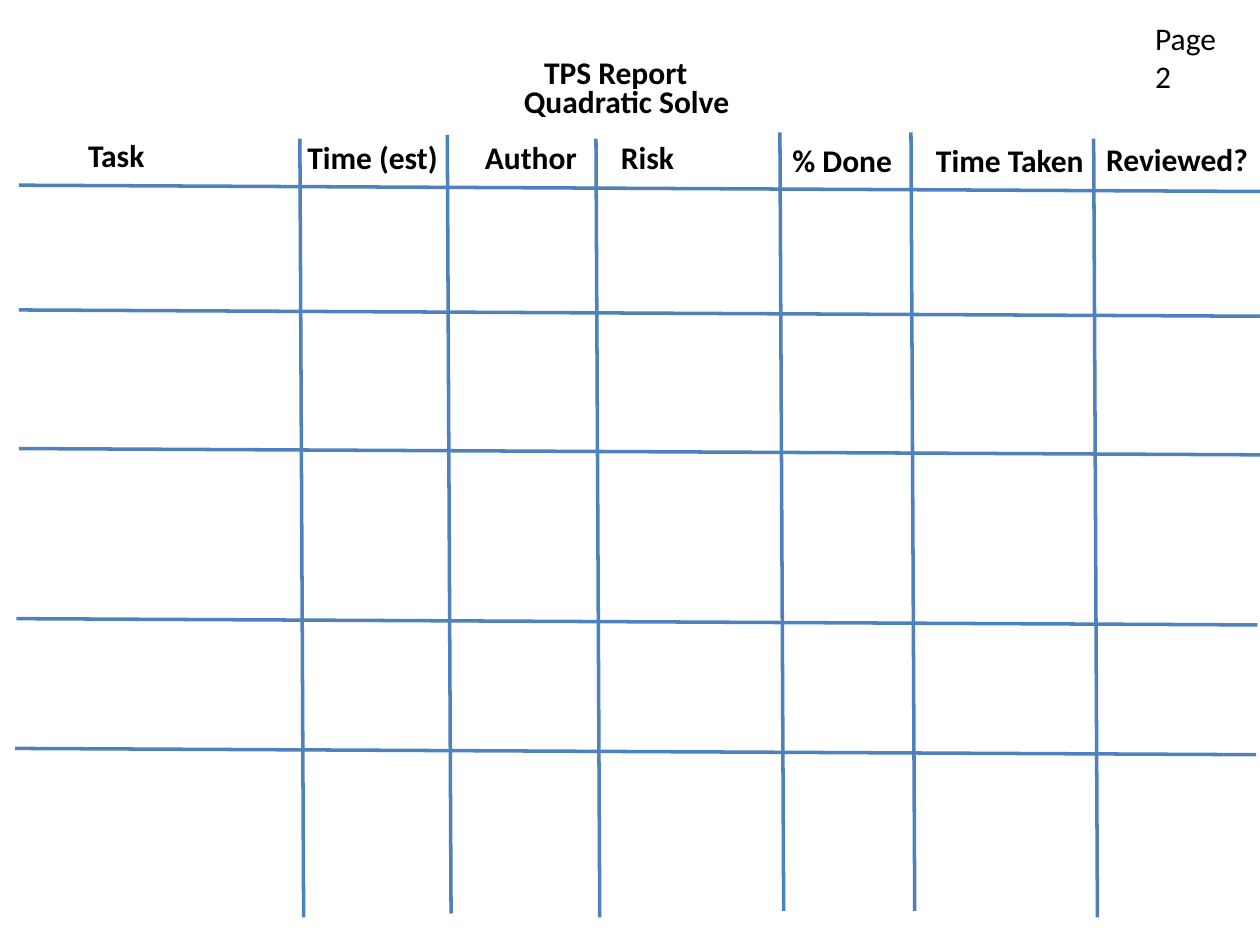
from collections import namedtuple

from lxml.etree import SubElement
from pptx import Presentation
from pptx.dml.color import RGBColor
from pptx.enum.shapes import MSO_CONNECTOR
from pptx.oxml.ns import qn
from pptx.util import Inches, Pt

BLACK = RGBColor(0x00, 0x00, 0x00)
BLUE = RGBColor(0x4F, 0x81, 0xBD)
COLUMNS, ROWS = 100, 75
Box = namedtuple("Box", "left top width height")

HEADINGS = [
    ("Task", 4.8, 0),
    ("Time (est)", 22.2, 0.2),
    ("Author", 36.3, 0.2),
    ("Risk", 47.1, 0.2),
    ("% Done", 60.7, 0.4),
    ("Time Taken", 72.1, 0.4),
    ("Reviewed?", 85.6, 0.3),
]
COLUMN_RULES = [(22.6, 0.7), (34.3, 0.4), (46.1, 0.7), (60.7, 0.2), (71.1, 0.2), (85.6, 0.7)]
ROW_RULES = [(0.3, 4.4), (0.3, 14.3), (0.3, 25.3), (0.1, 38.8), (0, 49.1)]
RULE_LENGTH = Box(0, 0, 98.5, 61.8)
COLUMN_SLANT, ROW_SLANT = 0.3, 0.5


def across(presentation, columns):
    """Turn grid columns into a slide length."""
    return round(presentation.slide_width * columns / COLUMNS)


def down(presentation, rows):
    """Turn grid rows into a slide length."""
    return round(presentation.slide_height * rows / ROWS)


def add_label(presentation, slide, text, box, bold=True, wrap=True):
    """Add one line of text in a box given in grid units."""
    shape = slide.shapes.add_textbox(
        across(presentation, box.left), down(presentation, box.top),
        across(presentation, box.width), down(presentation, box.height))
    shape.text_frame.word_wrap = wrap
    run = shape.text_frame.paragraphs[0].add_run()
    run.text = text
    for name, value in {"name": "Calibri", "size": Pt(18), "bold": bold}.items():
        setattr(run.font, name, value)
    run.font.color.rgb = BLACK


def add_rule(presentation, slide, left, top, width, height):
    """Add a straight blue line spanning the given grid distance."""
    line = slide.shapes.add_connector(
        MSO_CONNECTOR.STRAIGHT,
        across(presentation, left), down(presentation, top),
        across(presentation, left + width), down(presentation, top + height))
    line.line.color.rgb = BLUE
    line.line.width = Pt(2)
    SubElement(line._element.spPr, qn("a:effectLst"))


def add_title(presentation, slide, box):
    """Place the two title lines and the page number."""
    labels = [
        ("TPS Report", Box(1.6, 2.7, 13.7, 4), True, True),
        ("Quadratic Solve", Box(0, 5, 18.3, 4), True, False),
        ("Page 2", Box(50.1, 0, 8.6, 4), False, False),
    ]
    for text, part, bold, wrap in labels:
        place = part._replace(left=box.left + part.left, top=box.top + part.top)
        add_label(presentation, slide, text, place, bold, wrap)


def add_task_grid(presentation, slide, box):
    """Draw the ruled task sheet with its column headings."""
    for left, top in COLUMN_RULES:
        add_rule(presentation, slide, box.left + left, box.top + top,
                 COLUMN_SLANT, RULE_LENGTH.height)
    for left, top in ROW_RULES:
        add_rule(presentation, slide, box.left + left, box.top + top,
                 RULE_LENGTH.width, ROW_SLANT)
    for text, left, top in HEADINGS:
        place = Box(box.left + left, box.top + top, 15.2, 4)
        add_label(presentation, slide, text, place)


def main():
    """Build the report slide and save it."""
    presentation = Presentation()
    presentation.slide_width = Inches(10)
    presentation.slide_height = Inches(7.5)
    slide = presentation.slides.add_slide(presentation.slide_layouts[6])
    add_title(presentation, slide, Box(40.6, 1, 58.7, 9))
    add_task_grid(presentation, slide, Box(1.2, 10.3, 98.8, 62.5))
    presentation.save("out.pptx")


main()
